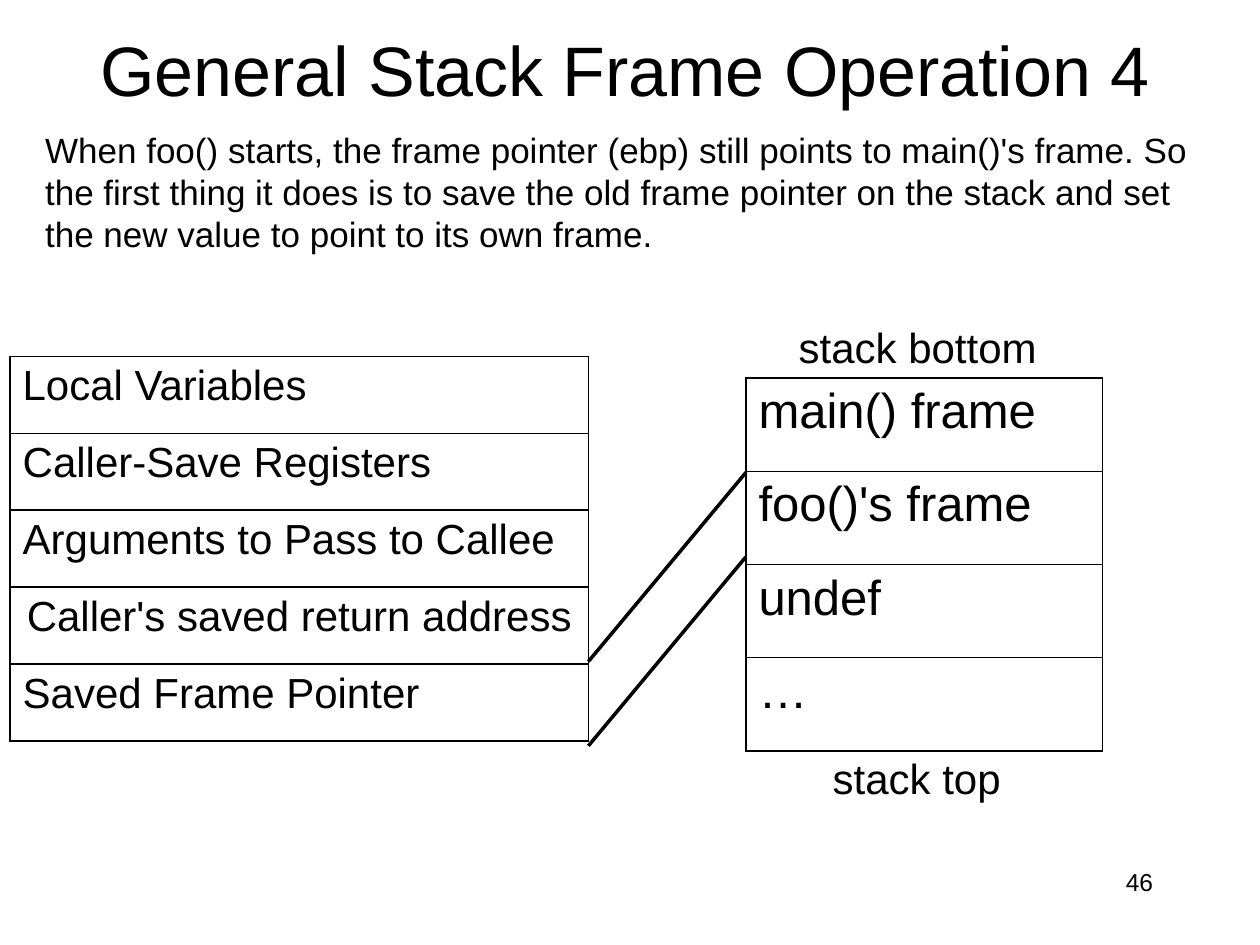
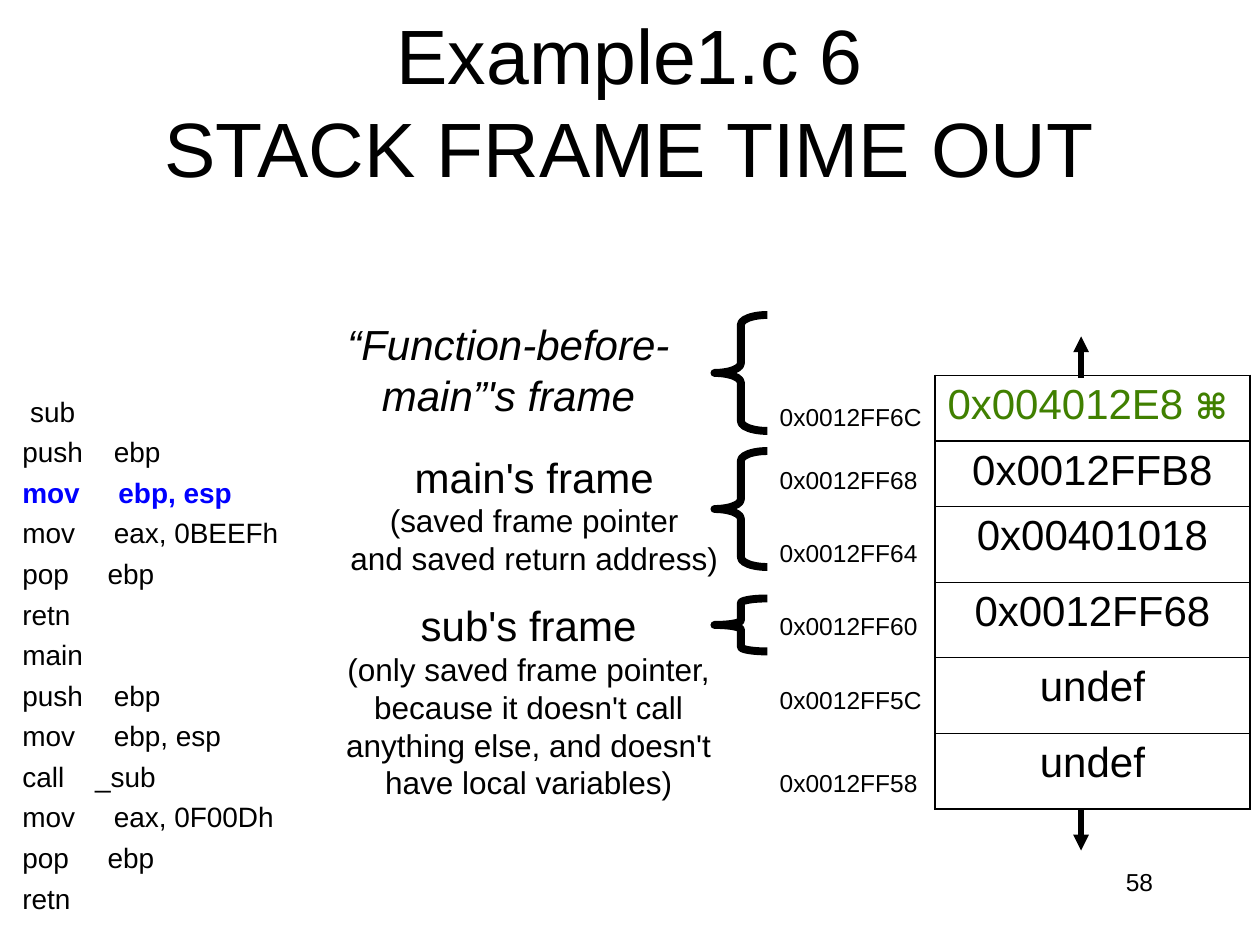
from lxml import etree
from pptx import Presentation
from pptx.dml.color import RGBColor
from pptx.enum.shapes import MSO_CONNECTOR, MSO_SHAPE
from pptx.enum.text import MSO_ANCHOR, MSO_AUTO_SIZE, PP_ALIGN
from pptx.oxml.ns import qn
from pptx.util import Inches, Pt

STRAIGHT = MSO_CONNECTOR.STRAIGHT
LEFT_BRACE = MSO_SHAPE.LEFT_BRACE
TOP, MIDDLE = MSO_ANCHOR.TOP, MSO_ANCHOR.MIDDLE
NO_FIT = MSO_AUTO_SIZE.NONE
LEFT, CENTER, RIGHT = PP_ALIGN.LEFT, PP_ALIGN.CENTER, PP_ALIGN.RIGHT

COLORS = {"ink": "000000", "current": "0000FF", "return": "408000"}
FONT = "Arial"
OUTER, INNER = 1.08, 0.45


def color(name):
    return RGBColor.from_string(COLORS[name])


def write(frame, paragraphs, align=LEFT, space=0, hanging=0, **style):
    for index, content in enumerate(paragraphs):
        paragraph = frame.paragraphs[0] if index == 0 else frame.add_paragraph()
        paragraph.alignment = align
        if index and space:
            paragraph.space_before = Pt(space)
        if hanging:
            properties = paragraph._p.get_or_add_pPr()
            properties.set("marL", str(Inches(hanging)))
            properties.set("indent", str(-Inches(hanging)))
        runs = [(content, {})] if isinstance(content, str) else content
        for text, changes in runs:
            for line_index, line in enumerate(text.split("\n")):
                if line_index:
                    paragraph.add_line_break()
                run = paragraph.add_run()
                run.text = line
                format_run(run, **{**style, **changes})


def format_run(run, size=24, ink="ink", bold=False, italic=False):
    run.font.name = FONT
    run.font.size = Pt(size)
    run.font.bold = bold
    run.font.italic = italic
    run.font.color.rgb = color(ink)


def set_border(cell, side, width):
    line = etree.SubElement(cell._tc.get_or_add_tcPr(), qn(f"a:ln{side}"), w=str(Pt(width)))
    fill = etree.SubElement(line, qn("a:solidFill"))
    etree.SubElement(fill, qn("a:srgbClr"), val=COLORS["ink"])


class Deck:
    def __init__(self):
        self.presentation = Presentation()
        self.presentation.slide_width = Inches(10)
        self.presentation.slide_height = Inches(7.5)
        self.slide = None

    def start(self, title, box, size, number):
        self.slide = self.presentation.slides.add_slide(self.presentation.slide_layouts[6])
        self.text([str(number)], (7.17, 6.83, 2.08, 0.5), size=14, align=RIGHT)
        self.text([title], box, anchor=MIDDLE, size=size, align=CENTER)

    def text(self, paragraphs, box, anchor=TOP, **style):
        shape = self.slide.shapes.add_textbox(*map(Inches, box))
        frame = shape.text_frame
        frame.word_wrap = True
        frame.auto_size = NO_FIT
        frame.vertical_anchor = anchor
        write(frame, paragraphs, **style)

    def table(self, rows, left, top, width, heights, inner=OUTER, aligns=None, **style):
        frame = self.slide.shapes.add_table(
            len(rows), 1, Inches(left), Inches(top), Inches(width), Inches(sum(heights)))
        table = frame.table
        table.first_row = False
        table.horz_banding = False
        table.columns[0].width = Inches(width)
        aligns = aligns or [LEFT] * len(rows)
        last = len(rows) - 1
        for index, (content, height, align) in enumerate(zip(rows, heights, aligns)):
            table.rows[index].height = Inches(height)
            cell = table.cell(index, 0)
            write(cell.text_frame, [content], align=align, **style)
            set_border(cell, "L", OUTER)
            set_border(cell, "R", OUTER)
            set_border(cell, "T", inner if index else OUTER)
            set_border(cell, "B", inner if index < last else OUTER)
            cell.fill.background()

    def line(self, start, end, width, arrow=False):
        connector = self.slide.shapes.add_connector(STRAIGHT, *map(Inches, (*start, *end)))
        connector.line.color.rgb = color("ink")
        connector.line.width = Pt(width)
        if arrow:
            etree.SubElement(connector.line._get_or_add_ln(), qn("a:tailEnd"), type="triangle")
        etree.SubElement(connector._element.spPr, qn("a:effectLst"))

    def brace(self, left, top, width, height):
        shape = self.slide.shapes.add_shape(
            LEFT_BRACE, Inches(left), Inches(top), Inches(width), Inches(height))
        shape.adjustments[0] = height / width / 12
        shape.shadow.inherit = False
        shape.fill.background()
        shape.line.color.rgb = color("ink")
        shape.line.width = Pt(4.5)


def add_operation_slide(deck):
    deck.start("General Stack Frame Operation 4", (0.5, -0.08, 8.92, 1.25), 40, 46)
    deck.table(["main() frame", "foo()'s frame", "undef", "…"],
               5.92, 3, 2.83, [0.74] * 4, inner=INNER, size=28)
    deck.text(["stack bottom"], (6.24, 2.5, 2.2, 0.5))
    deck.text(["stack top"], (6.51, 5.92, 1.65, 0.5))
    deck.text(["When foo() starts, the frame pointer (ebp) still points to main()'s frame. "
               "So the first thing it does is to save the old frame pointer on the stack "
               "and set the new value to point to its own frame."],
              (0.26, 0.97, 9.37, 1.3), size=20)
    frame_parts = ["Local Variables", "Caller-Save Registers", "Arguments to Pass to Callee",
                   "Caller's saved return address", "Saved Frame Pointer"]
    deck.table(frame_parts, 0.08, 2.83, 4.59, [0.61] * 5,
               aligns=[LEFT, LEFT, LEFT, CENTER, LEFT])
    for frame_y, stack_y in ((5.25, 3.75), (5.92, 4.42)):
        deck.line((4.67, frame_y), (5.92, stack_y), 2)


def add_example_slide(deck):
    deck.start("Example1.c 6\nSTACK FRAME TIME OUT", (0.75, 0.17, 8.5, 1.25), 44, 58)
    code = [" sub", "push    ebp",
            [("mov     ebp, esp", {"ink": "current", "bold": True})],
            "mov     eax, 0BEEFh", "pop     ebp", "retn",
            "main", "push    ebp", "mov     ebp, esp", "call    _sub",
            "mov     eax, 0F00Dh", "pop     ebp", "retn"]
    deck.text(code, (0.08, 3.08, 2.33, 4.4), size=16, space=4, hanging=0.38)

    for top, height in ((2.5, 0.92), (3.58, 0.92), (4.75, 0.42)):
        deck.brace(5.67, top, 0.42, height)

    deck.text(["“Function-before-", "main”'s frame"], (2.56, 2.48, 2.95, 0.9),
              anchor=MIDDLE, align=CENTER, italic=True)
    frames = [
        ("main's frame", ["(saved frame pointer", "and saved return address)"],
         (2.58, 3.53, 3.32, 1.1)),
        ("sub's frame", ["(only saved frame pointer,", "because it doesn't call",
                         "anything else, and doesn't", "have local variables)"],
         (2.55, 4.71, 3.29, 1.7)),
    ]
    for name, details, box in frames:
        deck.text([[(name, {"size": 24})], *details], box,
                  anchor=MIDDLE, align=CENTER, size=18)

    deck.table(["0x0012FFB8", "0x00401018", "0x0012FF68", "undef", "undef"],
               7.42, 3.5, 2.5, [0.52] + [0.6] * 4, inner=INNER, aligns=[CENTER] * 5)
    deck.table([[("0x004012E8 ", {}), ("⌘", {"size": 20, "bold": True})]],
               7.42, 2.98, 2.5, [0.52], ink="return")
    for start_y, end_y in ((3, 2.67), (6.42, 6.75)):
        deck.line((8.58, start_y), (8.58, end_y), 3, arrow=True)

    addresses = {"6C": 3.14, "68": 3.64, "64": 4.22, "60": 4.8, "5C": 5.39, "58": 6.05}
    for ending, top in addresses.items():
        deck.text([f"0x0012FF{ending}"], (6.09, top, 1.4, 0.34), size=14)


def main():
    deck = Deck()
    add_operation_slide(deck)
    add_example_slide(deck)
    deck.presentation.save("out.pptx")


if __name__ == "__main__":
    main()
